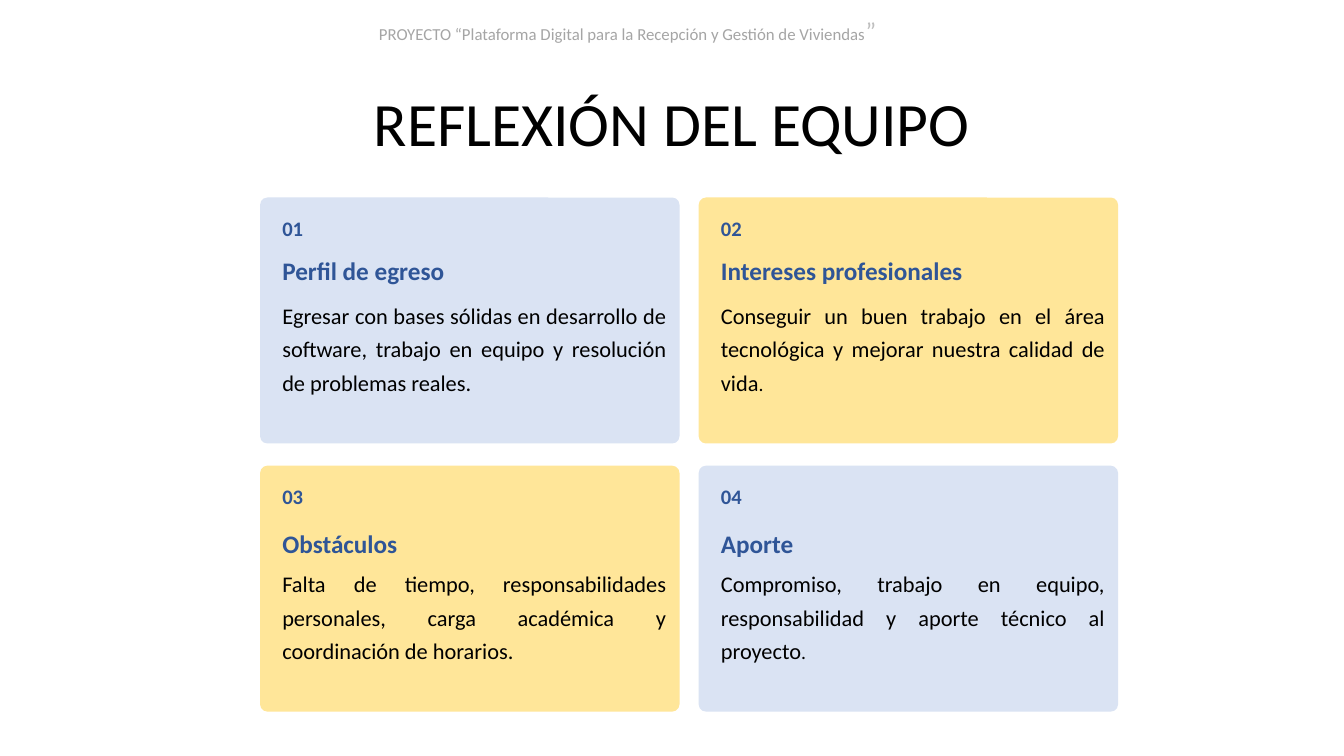
import pptx
import pptx.dml.color
import pptx.enum.shapes
import pptx.enum.text
import pptx.oxml
import pptx.util
from pptx.util import Inches

RGBColor = pptx.dml.color.RGBColor
PALE_BLUE = RGBColor(0xDA, 0xE3, 0xF3)
PALE_YELLOW = RGBColor(0xFF, 0xE6, 0x99)
DARK_BLUE = RGBColor(0x2F, 0x55, 0x97)
BLACK = RGBColor(0, 0, 0)
GREY = RGBColor(0xA5, 0xA5, 0xA5)
LIGHT_GREY = RGBColor(0xBF, 0xBF, 0xBF)
FONT = "Calibri"
ALIGN = pptx.enum.text.PP_ALIGN

GRID_LEFT, GRID_TOP = 2.58, 1.96
CARD_WIDTH, CARD_HEIGHT = 4.16, 2.44
COLUMN_STEP, ROW_STEP = 4.35, 2.66
HEADING_OFFSETS = (0.54, 0.58)

CARDS = [
    ("Perfil de egreso", PALE_BLUE,
     [("Egresar con bases sólidas en desarrollo de software, trabajo en equipo "
       "y resolución de problemas reales.", 16)]),
    ("Intereses profesionales", PALE_YELLOW,
     [("Conseguir un buen trabajo en el área tecnológica y mejorar nuestra "
       "calidad de vida", 16), (".", 14)]),
    ("Obstáculos", PALE_YELLOW,
     [("Falta de tiempo, responsabilidades personales, carga académica y "
       "coordinación de horarios.", 16)]),
    ("Aporte", PALE_BLUE,
     [("Compromiso, trabajo en equipo, responsabilidad y aporte técnico al "
       "proyecto", 16), (".", 14)]),
]


def place(box, left, top, width, height):
    box.left, box.top = Inches(left), Inches(top)
    box.width, box.height = Inches(width), Inches(height)


def add_box(page, left, top, width, height):
    return page.shapes.add_textbox(
        Inches(left), Inches(top), Inches(width), Inches(height))


def write(box, spans, color, bold=False, align=ALIGN.LEFT, spacing=1.0, after=0):
    frame = box.text_frame
    frame.word_wrap = True
    frame.auto_size = pptx.enum.text.MSO_AUTO_SIZE.NONE
    frame.vertical_anchor = pptx.enum.text.MSO_ANCHOR.TOP
    para = frame.paragraphs[0]
    if box.is_placeholder:
        properties = para._p.get_or_add_pPr()
        properties.set("marL", "0")
        properties.set("indent", "0")
        properties.append(pptx.oxml.parse_xml(
            '<a:buNone xmlns:a="http://schemas.openxmlformats.org/drawingml/2006/main"/>'))
    para.alignment = align
    para.line_spacing = spacing
    para.space_before = pptx.util.Pt(0)
    para.space_after = pptx.util.Pt(after)
    para.font.name = FONT
    para.font.bold = bold
    para.font.color.rgb = color
    para.font.size = pptx.util.Pt(spans[0][1])
    for text, size in spans:
        span = para.add_run()
        span.text = text
        span.font.name = FONT
        span.font.bold = bold
        span.font.color.rgb = color
        span.font.size = pptx.util.Pt(size)
    return para


def set_card_margins(box):
    frame = box.text_frame
    frame.margin_left = 0
    frame.margin_top = Inches(0.07)
    frame.margin_right = frame.margin_bottom = Inches(0.13)


def add_header(page, left, top, width, height):
    box = add_box(page, left, top, width, height)
    para = write(box, [
        ("PROYECTO “Plataforma Digital para la Recepción y Gestión de Viviendas", 12),
        ("”", 18)], GREY)
    para.runs[1].font.color.rgb = LIGHT_GREY


def set_title(page, left, top, width, height):
    title = page.shapes.title
    place(title, left, top, width, height)
    write(title, [("REFLEXIÓN DEL EQUIPO", 44)], BLACK, align=ALIGN.CENTER)


def add_card(page, heading_box, left, top, heading_offset, number, card):
    heading, fill, body = card
    panel = page.shapes.add_shape(
        pptx.enum.shapes.MSO_SHAPE.ROUNDED_RECTANGLE,
        Inches(left), Inches(top), Inches(CARD_WIDTH), Inches(CARD_HEIGHT))
    panel.adjustments[0] = 0.03
    panel.shadow.inherit = False
    panel.fill.solid()
    panel.fill.fore_color.rgb = fill
    panel.line.fill.background()

    text_left, text_width = left + 0.22, 3.94
    number_box = add_box(page, text_left, top + 0.14, 0.44, 0.43)
    write(number_box, [(f"{number:02}", 14.7)], DARK_BLUE, bold=True, spacing=0.9)

    page.shapes.element.append(heading_box.element)
    place(heading_box, text_left, top + heading_offset, text_width, 0.52)
    write(heading_box, [(heading, 18)], DARK_BLUE, bold=True, spacing=0.9, after=16)

    body_box = add_box(page, text_left, top + 0.9, text_width, 1.53)
    write(body_box, body, BLACK, align=ALIGN.JUSTIFY, spacing=1.25, after=16)
    for box in (number_box, heading_box, body_box):
        set_card_margins(box)


def add_cards(page, left, top):
    heading_boxes = [box for box in page.placeholders
                     if box.placeholder_format.idx in (1, 2, 3, 4)]
    for index, (heading_box, card) in enumerate(zip(heading_boxes, CARDS)):
        row, column = divmod(index, 2)
        add_card(page, heading_box, left + column * COLUMN_STEP,
                 top + row * ROW_STEP, HEADING_OFFSETS[row], index + 1, card)


def main():
    deck = pptx.Presentation()
    deck.slide_width, deck.slide_height = Inches(13.33), Inches(7.5)
    page = deck.slides.add_slide(deck.slide_layouts.get_by_name("Comparison"))
    add_header(page, 3.66, 0.1, 5.14, 0.36)
    set_title(page, 0, 0.79, 13.33, 0.84)
    add_cards(page, GRID_LEFT, GRID_TOP)
    deck.save("out.pptx")


if __name__ == "__main__":
    main()
